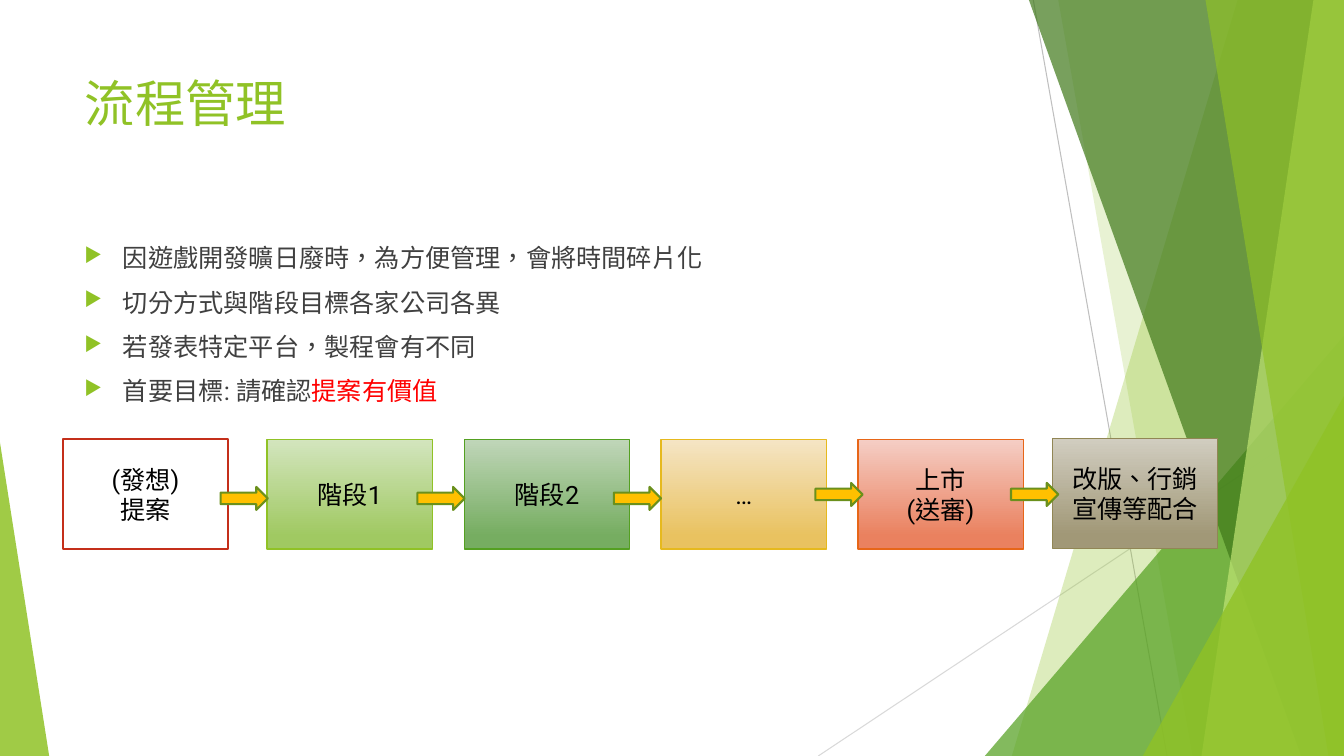
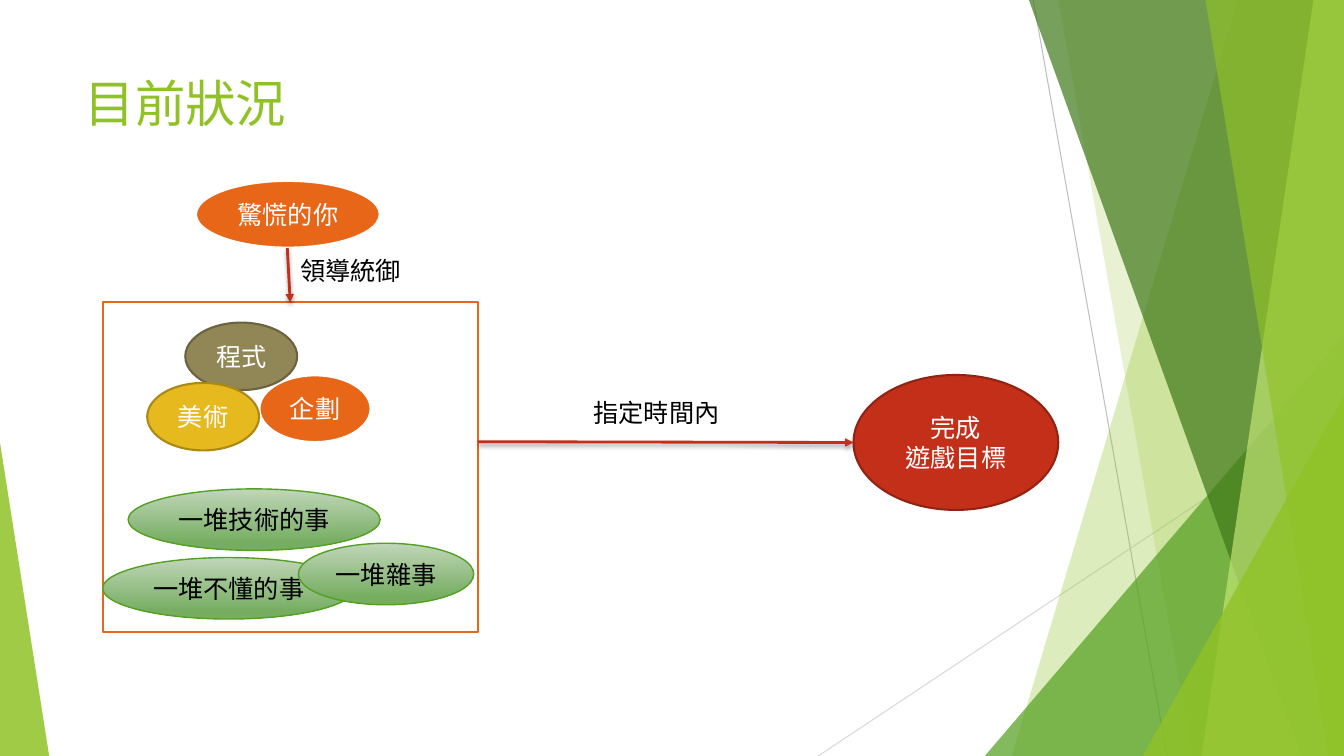
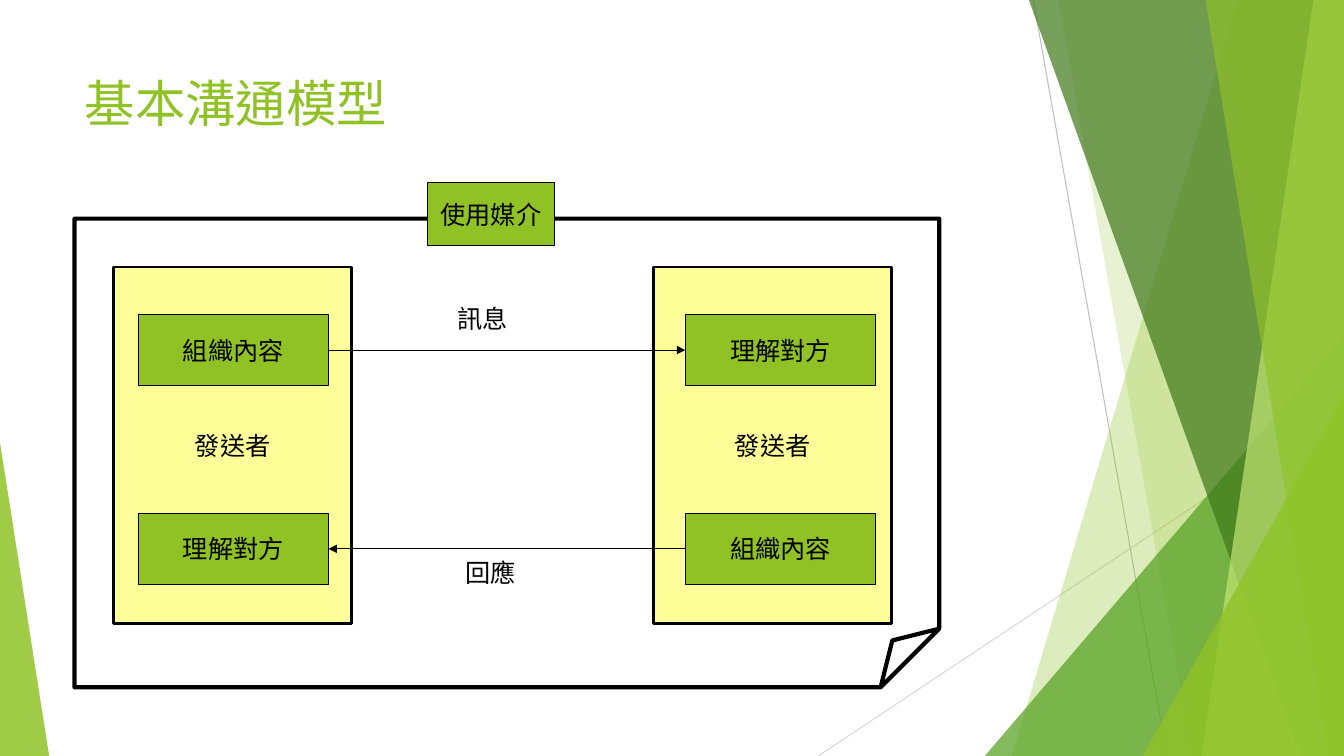
"""Build three slides on process management and communication."""
from dataclasses import dataclass

from lxml import etree
from pptx import Presentation
from pptx.dml.color import RGBColor
from pptx.enum.lang import MSO_LANGUAGE_ID
from pptx.enum.shapes import MSO_CONNECTOR, MSO_SHAPE
from pptx.enum.text import MSO_ANCHOR, MSO_AUTO_SIZE, PP_ALIGN
from pptx.oxml.ns import qn
from pptx.util import Cm, Pt

RECT, OVAL = MSO_SHAPE.RECTANGLE, MSO_SHAPE.OVAL
ARROW, FOLD = MSO_SHAPE.RIGHT_ARROW, MSO_SHAPE.FOLDED_CORNER
WEDGE = MSO_SHAPE.ISOSCELES_TRIANGLE
STRAIGHT = MSO_CONNECTOR.STRAIGHT
TOP, MIDDLE = MSO_ANCHOR.TOP, MSO_ANCHOR.MIDDLE
LEFT, CENTER = PP_ALIGN.LEFT, PP_ALIGN.CENTER
NO_FIT, GROW = MSO_AUTO_SIZE.NONE, MSO_AUTO_SIZE.SHAPE_TO_FIT_TEXT
TAIWAN = MSO_LANGUAGE_ID.TRADITIONAL_CHINESE


@dataclass(frozen=True)
class Theme:
    """Colours, font and type sizes."""
    font: str = "Roboto"
    head: int = 36
    text: int = 18
    lime: str = "90C226"
    green: str = "54A021"
    dark: str = "3F7819"
    pale: str = "C0E474"
    moss: str = "6B901C"
    gold: str = "E6B91E"
    amber: str = "FFC000"
    orange: str = "E76618"
    brick: str = "C42F1A"
    khaki: str = "918655"
    cream: str = "FFFF99"
    gray: str = "404040"
    red: str = "FF0000"
    white: str = "FFFFFF"
    black: str = "000000"
    leaf: tuple = ("C0D6B9", "76AD61")


T = Theme()
WIDE, HIGH = 33.87, 19.05

RAYS = [((26.04, 0), (29.41, HIGH), "BFBFBF"),
        ((WIDE, 10.24), (20.62, HIGH), "D9D9D9")]
FACETS = [
    (T.lime, 30, (31.19, 25.5)),
    (T.lime, 20, (26.67, 30.05)),
    (T.green, 72, (24.82, 8.46, 9.05, 10.59, 1)),
    (T.dark, 70, (25.93, 32.79)),
    (T.pale, 70, (33.1, 30.28)),
    (T.lime, 65, (30.38, 33.48)),
    (T.lime, 80, (28.8, 9.98, 5.07, 9.07, 1)),
    (T.lime, 85, (0, 11.15, 1.24, 7.9, 0)),
]

POINTS = [("因遊戲開發曠日廢時，為方便管理，會將時間碎片化", ""),
          ("切分方式與階段目標各家公司各異", ""),
          ("若發表特定平台，製程會有不同", ""),
          ("首要目標: 請確認", "提案有價值")]
STAGES = [
    ("(發想)\n提案", 1.58, 11.07, T.white, T.brick, 1.5),
    ("階段1", 6.73, 11.07, ("D3E5BE", "A0C962"), T.lime, 1),
    ("階段2", 11.7, 11.07, T.leaf, T.green, 1),
    ("…", 16.66, 11.07, ("F5E5C5", "E9C260"), T.gold, 1),
    ("上市\n(送審)", 21.62, 11.07, ("F5CEC5", "EA815F"), T.orange, 1),
    ("改版、行銷宣傳等配合", 26.52, 11.05, ("D1CDC0", "A19877"), T.khaki, 1),
]
STEPS = [(5.56, 12.27), (10.52, 12.27), (15.47, 12.27),
         (20.55, 12.17), (25.48, 12.17)]

BLOBS = [
    ("完成\n遊戲目標", (21.51, 9.45, 5.16, 3.4), T.brick, "912313", 1.5),
    ("企劃", (6.53, 9.45, 2.82, 1.7), T.orange, T.white, 2),
    ("程式", (4.67, 8.13, 2.82, 1.7), T.khaki, "6B633F", 1.5),
    ("美術", (3.71, 9.65, 2.82, 1.7), T.gold, "AA8916", 1.5),
    ("驚慌的你", (4.93, 4.55, 4.65, 1.7), T.orange, T.white, 2),
]
PILES = [("一堆技術的事", (3.23, 12.32, 6.35, 1.55)),
         ("一堆不懂的事", (2.59, 14.05, 6.35, 1.55)),
         ("一堆雜事", (7.52, 13.69, 4.42, 1.55))]
NOTES = [("指定時間內", (14.71, 9.88, 3.71, 1.02)),
         ("領導統御", (7.32, 6.3, 3.07, 1.02))]

SIDES = [("發送者", 2.87, 3.48, ("組織內容", "理解對方")),
         ("發送者", 16.48, 17.27, ("理解對方", "組織內容"))]
ROWS = (7.92, 12.93)
SIGNALS = [("訊息", (11.28, 7.52, 1.78, 1.02)),
           ("回應", (11.48, 13.92, 1.78, 1.02))]


def rgb(code):
    """Turn a hex code into a colour."""
    return RGBColor.from_string(code)


def cms(values):
    """Turn plain numbers into lengths."""
    return [Cm(value) for value in values]


def style(para, ink, size=T.text, align=LEFT):
    """Set the type of one paragraph."""
    para.alignment = align
    font = para.font
    font.name, font.size, font.language_id = T.font, Pt(size), TAIWAN
    font.color.rgb = rgb(ink)


def paint(shape, fill, line=None, width=1):
    """Set fill and outline; a pair of colours makes a gradient."""
    shape.shadow.inherit = False
    if fill is None:
        shape.fill.background()
    elif isinstance(fill, tuple):
        shape.fill.gradient()
        shape.fill.gradient_angle = 270
        for stop, code, spot in zip(shape.fill.gradient_stops, fill, (0, 0.88)):
            stop.color.rgb, stop.position = rgb(code), spot
    else:
        shape.fill.solid()
        shape.fill.fore_color.rgb = rgb(fill)
    if line:
        shape.line.color.rgb, shape.line.width = rgb(line), Pt(width)
    else:
        shape.line.fill.background()


def block(slide, kind, box, fill, line, width, text="", ink=T.black, wrap=True):
    """Add a preset shape with centred text."""
    shape = slide.shapes.add_shape(kind, *cms(box))
    paint(shape, fill, line, width)
    if text:
        frame = shape.text_frame
        frame.text, frame.word_wrap = text, wrap
        frame.vertical_anchor = MIDDLE
        for para in frame.paragraphs:
            style(para, ink, align=CENTER)
    return shape


def label(slide, text, box):
    """Add a one-line text box."""
    frame = slide.shapes.add_textbox(*cms(box)).text_frame
    frame.text, frame.word_wrap, frame.auto_size = text, False, GROW
    style(frame.paragraphs[0], T.black)


def wire(shapes, start, end, ink, width=0.75, head=True, shade=False):
    """Add a straight line, with an arrowhead and a shadow if asked."""
    line = shapes.add_connector(STRAIGHT, *cms(start + end))
    line.line.color.rgb, line.line.width = rgb(ink), Pt(width)
    if head:
        etree.SubElement(line.get_or_add_ln(), qn("a:tailEnd"), type="triangle")
    glow = etree.SubElement(line.element.spPr, qn("a:effectLst"))
    if shade:
        drop = etree.SubElement(glow, qn("a:outerShdw"), blurRad=str(Pt(3)),
                                dist=str(Pt(2)), dir="5400000", rotWithShape="0")
        tone = etree.SubElement(drop, qn("a:srgbClr"), val=T.black)
        etree.SubElement(tone, qn("a:alpha"), val="35000")
    return line


def adorn(slide):
    """Draw the facets once and hand them to the layout."""
    group = slide.shapes.add_group_shape()
    for start, end, ink in RAYS:
        wire(group.shapes, start, end, ink, head=False)
    for ink, alpha, form in FACETS:
        if len(form) == 2:
            high, low = form
            pen = group.shapes.build_freeform(Cm(high), 0)
            rest = [(WIDE, 0), (WIDE, HIGH), (low, HIGH)]
            pen.add_line_segments([cms(spot) for spot in rest], close=True)
            shape = pen.convert_to_shape()
        else:
            shape = group.shapes.add_shape(WEDGE, *cms(form[:4]))
            shape.adjustments[0] = form[4]
        paint(shape, ink)
        tone = shape.element.spPr.find(".//" + qn("a:srgbClr"))
        etree.SubElement(tone, qn("a:alpha"), val=str(alpha * 1000))
    for mark, node in enumerate(group.element.iter(qn("p:cNvPr")), 50):
        node.set("id", str(mark))
    slide.slide_layout.shapes.element.insert(2, group.element)


def start(deck, text):
    """Add a slide with its title."""
    slide = deck.slides.add_slide(deck.slide_layouts[5])
    title = slide.shapes.title
    title.left, title.top, title.width, title.height = cms((1.88, 1.7, 23.88, 3.66))
    frame = title.text_frame
    frame.text, frame.vertical_anchor, frame.auto_size = text, TOP, NO_FIT
    style(frame.paragraphs[0], T.lime, T.head)
    return slide


def bullet(para):
    """Give a paragraph a hanging green bullet."""
    props = para._p.get_or_add_pPr()
    props.set("marL", str(Cm(0.97)))
    props.set("indent", str(-Cm(0.97)))
    tint = etree.SubElement(props, qn("a:buClr"))
    etree.SubElement(tint, qn("a:srgbClr"), val=T.lime)
    etree.SubElement(props, qn("a:buSzPct"), val="80000")
    etree.SubElement(props, qn("a:buChar"), char="▶")


def flow(slide):
    """Draw the points and the row of stages."""
    frame = slide.shapes.add_textbox(*cms((1.88, 5.99, 23.88, 4.6))).text_frame
    frame.word_wrap = True
    for rank, (plain, hot) in enumerate(POINTS):
        para = frame.add_paragraph() if rank else frame.paragraphs[0]
        bullet(para)
        if rank:
            para.space_before = Pt(10)
        style(para, T.gray)
        para.add_run().text = plain
        if hot:
            run = para.add_run()
            run.text = hot
            run.font.color.rgb = rgb(T.red)
    for text, x, y, fill, line, width in STAGES:
        block(slide, RECT, (x, y, 4.17, 2.77), fill, line, width, text)
    for x, y in STEPS:
        block(slide, ARROW, (x, y, 1.19, 0.58), T.amber, T.moss, 1.5)


def status(slide):
    """Draw the team, its work and its goal."""
    team = block(slide, RECT, (2.59, 7.62, 9.45, 8.31), T.white, T.orange, 1.5)
    for text, box, fill, line, width in BLOBS:
        block(slide, OVAL, box, fill, line, width, text, T.white)
    for text, box in PILES:
        block(slide, OVAL, box, T.leaf, T.green, 1, text)
    for text, box in NOTES:
        label(slide, text, box)
    wire(slide.shapes, (12.04, 11.13), (21.51, 11.15), T.brick, 2, shade=True)
    lead = wire(slide.shapes, (7.24, 6.25), (7.32, 7.62), T.brick, 2, shade=True)
    lead.end_connect(team, 0)


def model(slide):
    """Draw the two sides and the signals between them."""
    cells = []
    for text, x, inner, names in SIDES:
        block(slide, RECT, (x, 6.73, 5.99, 8.99), T.cream, T.black, 2, text,
              wrap=False)
        cells.append([block(slide, RECT, (inner, y, 4.8, 1.8), T.lime, T.black,
                            0.75, name, wrap=False)
                      for name, y in zip(names, ROWS)])
    near, far = cells
    for tail, tip, out, into in ((near[0], far[0], 3, 1), (far[1], near[1], 1, 3)):
        line = wire(slide.shapes, (0, 0), (1, 1), T.black)
        line.begin_connect(tail, out)
        line.end_connect(tip, into)
    sheet = block(slide, FOLD, (1.88, 5.51, 21.79, 11.81), None, T.black, 3)
    guides = sheet.element.spPr.find(".//" + qn("a:avLst"))
    etree.SubElement(guides, qn("a:gd"), name="adj", fmla="val 12500")
    block(slide, RECT, (10.77, 4.6, 3.2, 1.6), T.lime, T.black, 0.75, "使用媒介",
          wrap=False)
    for text, box in SIGNALS:
        label(slide, text, box)


def main():
    """Build and save the deck."""
    deck = Presentation()
    deck.slide_width, deck.slide_height = Cm(WIDE), Cm(HIGH)
    pages = [("流程管理", flow), ("目前狀況", status), ("基本溝通模型", model)]
    for rank, (text, draw) in enumerate(pages):
        slide = start(deck, text)
        if rank == 0:
            adorn(slide)
        draw(slide)
    deck.save("out.pptx")


if __name__ == "__main__":
    main()
